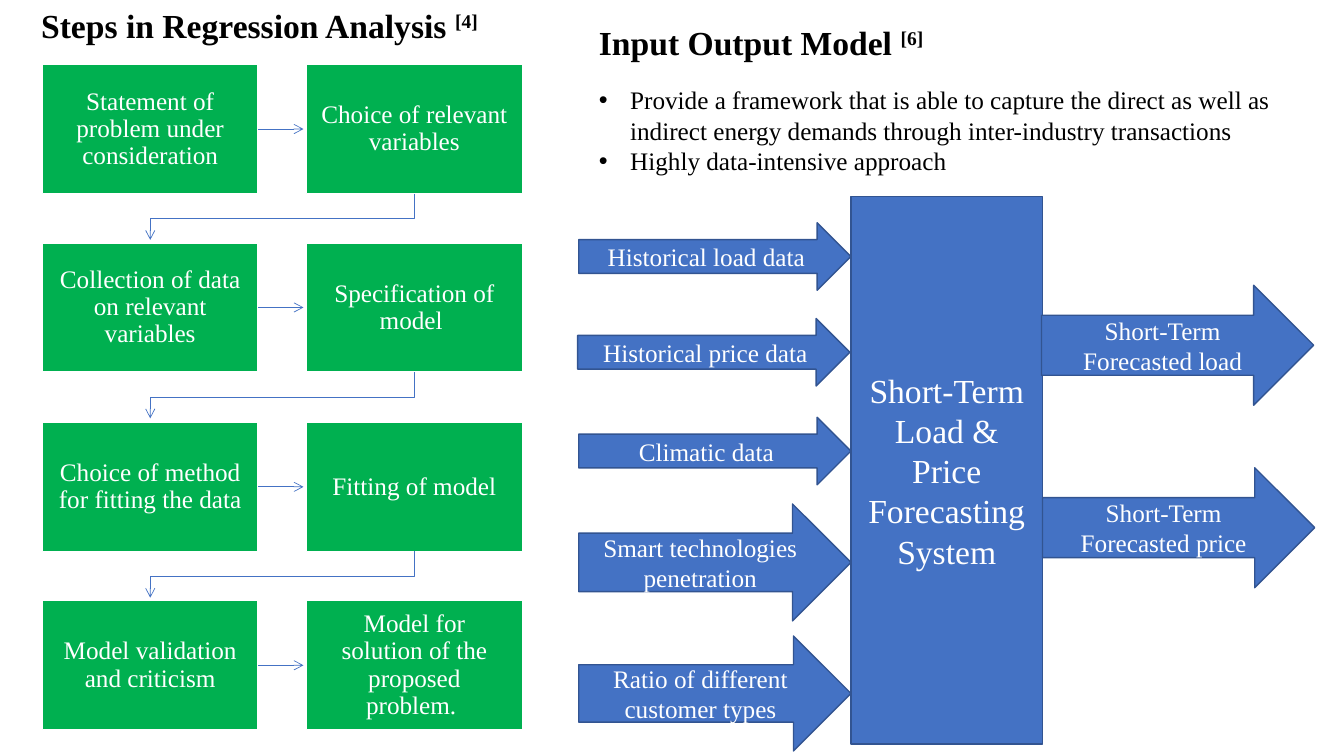
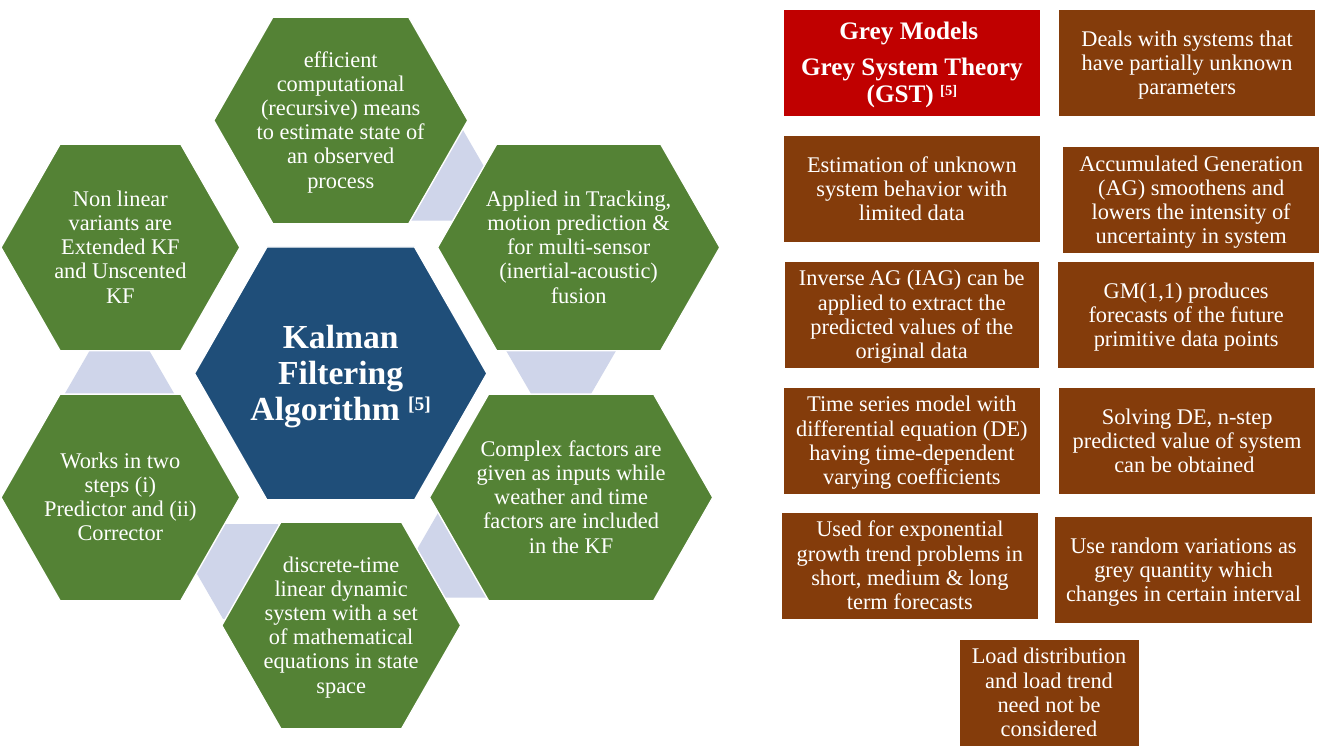
from lxml import etree
from pptx import Presentation
from pptx.dml.color import RGBColor
from pptx.enum.shapes import MSO_CONNECTOR, MSO_SHAPE
from pptx.enum.text import MSO_ANCHOR, MSO_AUTO_SIZE, PP_ALIGN
from pptx.oxml.ns import qn
from pptx.util import Pt

RECT, HEX, ARROW = MSO_SHAPE.RECTANGLE, MSO_SHAPE.HEXAGON, MSO_SHAPE.RIGHT_ARROW
STRAIGHT = MSO_CONNECTOR.STRAIGHT
LEFT, CENTER = PP_ALIGN.LEFT, PP_ALIGN.CENTER
TOP, MIDDLE = MSO_ANCHOR.TOP, MSO_ANCHOR.MIDDLE
FIXED = MSO_AUTO_SIZE.NONE

PX = 9144
FONT = "Times New Roman"
WHITE, BLACK = "FFFFFF", "000000"
GREEN, BLUE, EDGE = "00B050", "4472C4", "325491"
NAVY, LEAF, PALE = "1F4E79", "548235", "CFD5EA"
RED, BROWN = "C00000", "843C0B"

STEPS = [
    ("Statement of problem under consideration", "Choice of relevant variables"),
    ("Collection of data on relevant variables", "Specification of model "),
    ("Choice of method for fitting the data", "Fitting of model"),
    ("Model validation and criticism", "Model for solution of the proposed problem. "),
]
POINTS = [
    "Provide a framework that is able to capture the direct as well as indirect energy demands through inter-industry transactions",
    "Highly data-intensive approach",
]
FLOWS = [
    (1033, 283, 119, "Short-Term Forecasted load"),
    (1034, 464, 119, "Short-Term Forecasted price"),
    (574, 221, 67, "Historical load data"),
    (573, 316, 67, "Historical price data"),
    (574, 414, 67, "Climatic data"),
    (574, 500, 116, "Smart technologies penetration"),
    (574, 631, 114, "Ratio of different customer types"),
]
CELLS = [
    ((375, 125), (212, 17, 252), "efficient computational (recursive) means to estimate state of an observed process"),
    ((502, 301), (434, 143, 280), "Applied in Tracking, motion prediction & for multi-sensor (inertial-acoustic) fusion"),
    ((413, 499), (426, 391, 281), "Complex factors are given as inputs while weather and time factors are included in the KF"),
    ((194, 520), (220, 518, 237), "discrete-time linear dynamic system with a set of mathematical equations in state space"),
    ((64, 344), (1, 391, 237), "Works in two steps (i) Predictor and (ii) Corrector"),
    (None, (1, 143, 237), "Non linear variants are Extended KF and Unscented KF"),
]
FACTS = [
    (1050, 9, 255, "Deals with systems that have partially unknown parameters"),
    (777, 134, 255, "Estimation of unknown system behavior with limited data"),
    (1050, 384, 255, "Solving DE, n-step predicted value of system can be obtained "),
    (778, 259, 253, "Inverse AG (IAG) can be applied to extract the predicted values of the original data"),
    (1049, 259, 255, "GM(1,1) produces forecasts of the future primitive data points"),
    (777, 384, 255, "Time series model with differential equation (DE) having time-dependent varying coefficients"),
    (1054, 145, 255, "Accumulated Generation (AG) smoothens and lowers the intensity of uncertainty in system"),
    (775, 508, 255, "Used for exponential growth trend problems in short, medium & long term forecasts"),
    (1046, 512, 256, "Use random variations as grey quantity which changes in certain interval"),
    (951, 634, 179, "Load distribution and load trend need not be considered"),
]


def emu(*sizes):
    return [size * PX for size in sizes]


def hue(code):
    return RGBColor.from_string(code)


def text(frame, lines, size=18, color=WHITE, bold=False, align=CENTER,
         anchor=MIDDLE, pad=None, space=1.0, after=0, ref=None):
    frame.word_wrap = True
    frame.auto_size = FIXED
    frame.vertical_anchor = anchor
    if pad is not None:
        frame.margin_left = frame.margin_right = pad * PX
        frame.margin_top = frame.margin_bottom = pad * PX
    for i, line in enumerate(lines):
        para = frame.add_paragraph() if i else frame.paragraphs[0]
        para.alignment = align
        para.line_spacing = space
        para.space_before = Pt(0)
        para.space_after = Pt(after)
        last = i == len(lines) - 1
        for words in [line, ref] if ref and last else [line]:
            run = para.add_run()
            run.text = words
            font = run.font
            font.name, font.size, font.bold = FONT, Pt(size), bold
            font.color.rgb = hue(color)
            if words == ref:
                run._r.get_or_add_rPr().set("baseline", "30000")


def block(slide, kind, box, fill, edge=WHITE):
    shape = slide.shapes.add_shape(kind, *emu(*box))
    shape.shadow.inherit = False
    shape.fill.solid()
    shape.fill.fore_color.rgb = hue(fill)
    if edge:
        shape.line.color.rgb = hue(edge)
        shape.line.width = Pt(1)
    else:
        shape.line.fill.background()
    return shape


def label(slide, kind, box, fill, lines, edge=WHITE, **style):
    shape = block(slide, kind, box, fill, edge)
    text(shape.text_frame, lines, **style)
    return shape


def hexa(slide, box, fill, adj, edge=WHITE):
    shape = block(slide, HEX, box, fill, edge)
    shape.adjustments[0] = adj
    return shape


def tip(shape):
    shape.line.color.rgb = hue(BLUE)
    shape.line.width = Pt(0.5)
    etree.SubElement(shape.line._get_or_add_ln(), qn("a:tailEnd"), type="arrow")


def link(slide, start, x, y):
    line = slide.shapes.add_connector(STRAIGHT, *emu(x - 46, y, x, y))
    line.begin_connect(start, 3)
    tip(line)
    etree.SubElement(line._element.spPr, qn("a:effectLst"))


def elbow(slide, points):
    path = slide.shapes.build_freeform(*points[0], scale=PX)
    path.add_line_segments(points[1:], close=False)
    shape = path.convert_to_shape()
    shape.shadow.inherit = False
    shape.fill.background()
    tip(shape)


def place(holder, box):
    holder.left, holder.top, holder.width, holder.height = emu(*box)
    return holder.text_frame


def head(frame, words, ref, **style):
    text(frame, [words], size=24, color=BLACK, bold=True, align=LEFT, ref=ref, **style)


def dots(frame, lines):
    text(frame, lines, color=BLACK, align=LEFT, anchor=TOP)
    for para in frame.paragraphs:
        props = para._p.get_or_add_pPr()
        props.set("marL", str(31 * PX))
        props.set("indent", str(-31 * PX))
        etree.SubElement(props, qn("a:buFont"), typeface="Arial")
        etree.SubElement(props, qn("a:buChar"), char="•")


def steps(slide):
    wide, high, left, right = 214, 128, 42, 304
    for row, pair in enumerate(STEPS):
        top = 64 + row * 177 + row // 2
        first, _ = [
            label(slide, RECT, (x, top, wide, high), GREEN, [words], pad=14, space=0.9)
            for x, words in zip((left, right), pair)
        ]
        link(slide, first, right - 3, top + high // 2)
        if row < len(STEPS) - 1:
            base, start, end = top + high, right + wide // 2, left + wide // 2
            elbow(slide, [(start, base), (start, base + 25), (end, base + 25), (end, base + 46)])


def model(deck):
    slide = deck.slides.add_slide(deck.slide_layouts[1])
    steps(slide)
    note = slide.shapes.add_textbox(*emu(31, 0, 474, 50))
    head(note.text_frame, "Steps in Regression Analysis ", "[4]", anchor=TOP)
    head(place(slide.shapes.title, (584, 11, 434, 67)), "Input Output Model ", "[6]", space=0.9)
    dots(place(slide.placeholders[1], (584, 79, 711, 101)), POINTS)
    label(slide, RECT, (844, 195, 190, 543), BLUE,
          ["Short-Term Load & Price Forecasting System"], EDGE, size=24)
    for x, y, high, words in FLOWS:
        label(slide, ARROW, (x, y, 270, high), BLUE, [words], EDGE)


def grey(deck):
    slide = deck.slides.add_slide(deck.slide_layouts[6])
    core = hexa(slide, (193, 245, 290, 251), NAVY, 0.286)
    text(core.text_frame, ["Kalman Filtering Algorithm "], size=24, bold=True,
         pad=3, space=0.9, ref="[5]")
    for back, (x, y, wide), words in CELLS:
        if back:
            hexa(slide, (*back, 109, 94), PALE, 0.289, None)
        cell = hexa(slide, (x, y, wide, 205), LEAF, 0.286)
        text(cell.text_frame, [words], size=16, pad=2, space=0.9)
    label(slide, RECT, (777, 9, 255, 107), RED,
          ["Grey Models ", "Grey System Theory (GST) "],
          bold=True, pad=7, space=0.9, after=6, ref="[5]")
    for x, y, wide, words in FACTS:
        label(slide, RECT, (x, y, wide, 107), BROWN, [words], size=16, pad=7, space=0.9)


def main():
    deck = Presentation()
    deck.slide_width, deck.slide_height = emu(1333, 750)
    model(deck)
    grey(deck)
    deck.save("out.pptx")


if __name__ == "__main__":
    main()
